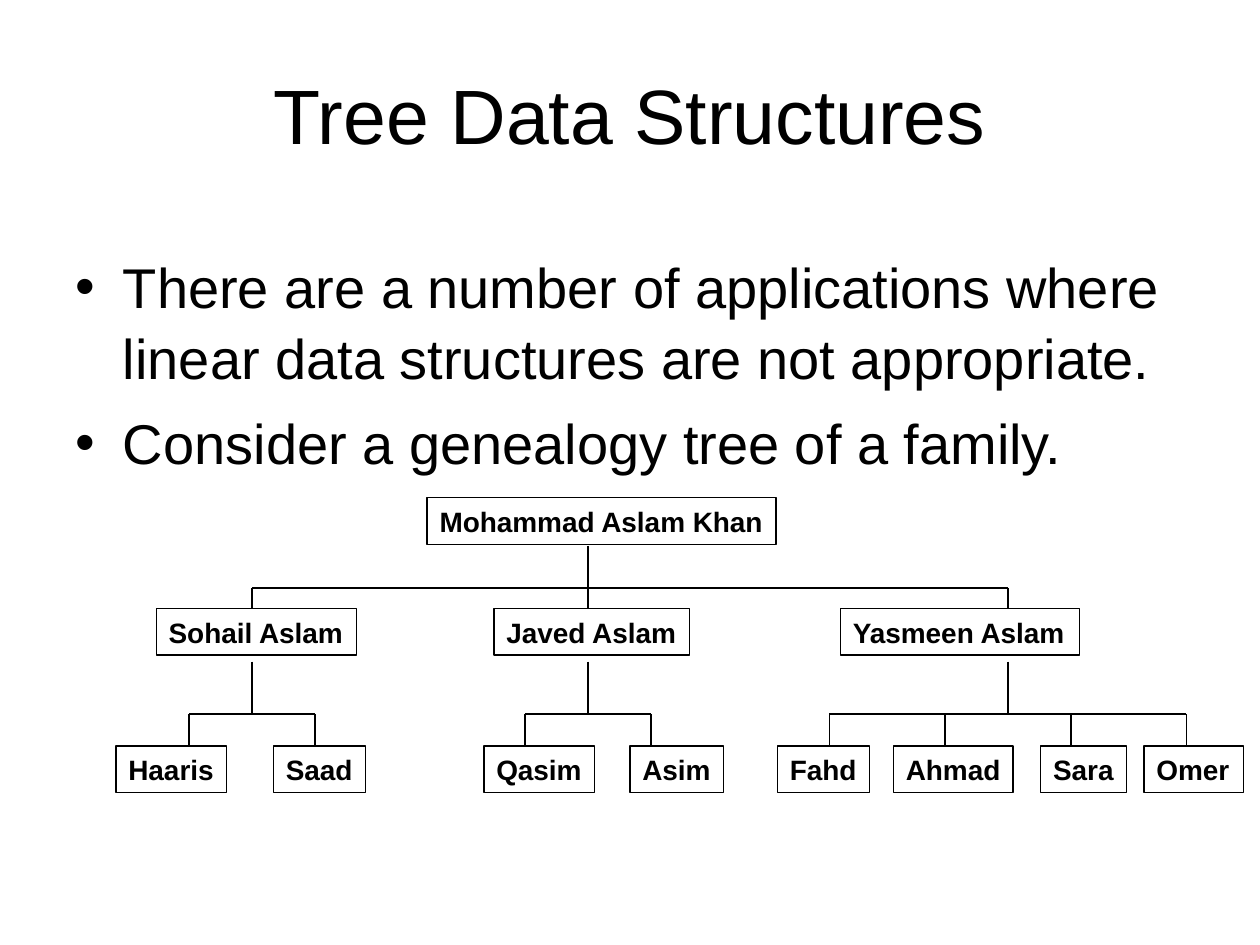
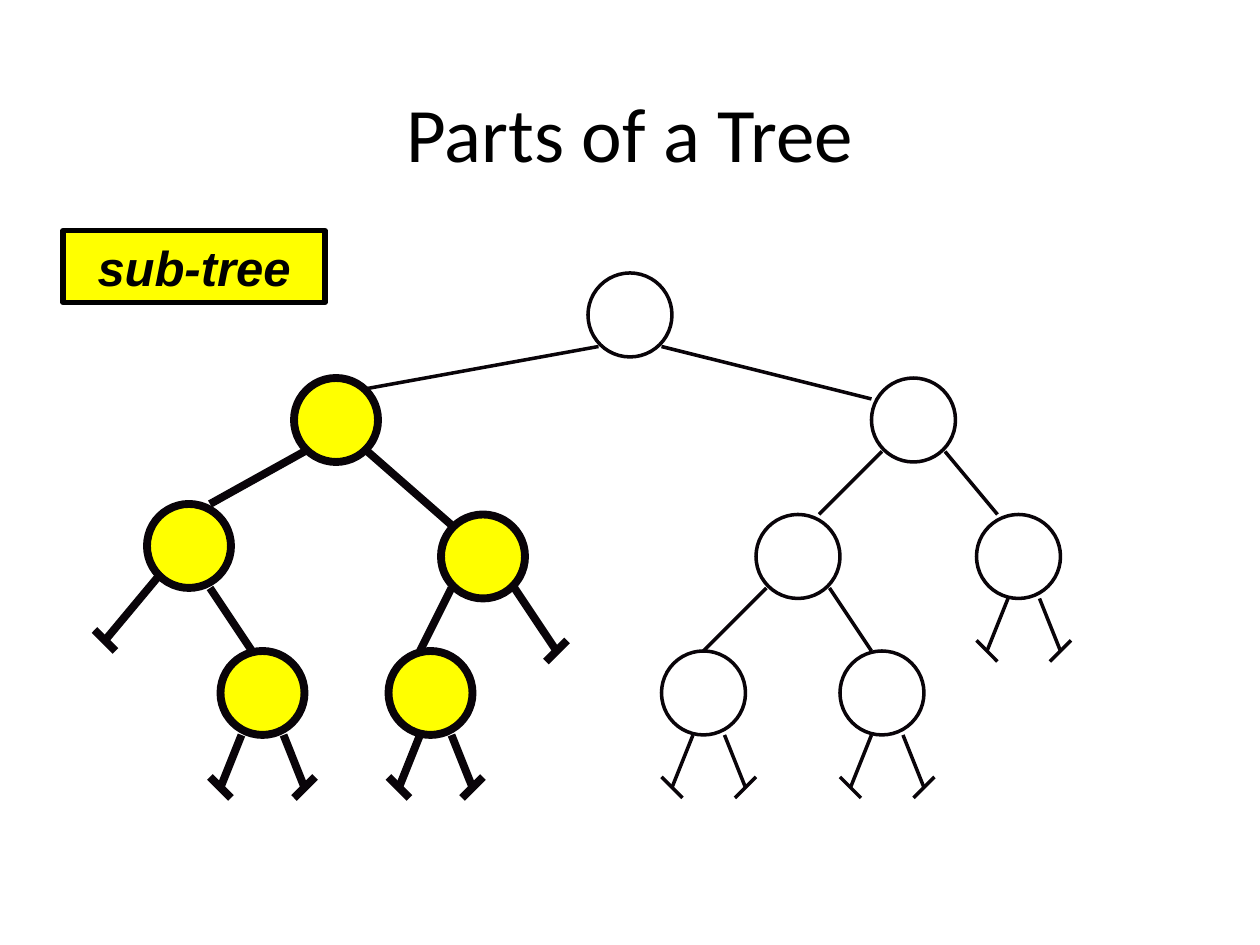
from lxml.etree import SubElement
from pptx import Presentation
from pptx.dml.color import RGBColor
from pptx.enum.shapes import MSO_CONNECTOR, MSO_SHAPE
from pptx.enum.text import MSO_ANCHOR, MSO_AUTO_SIZE, PP_ALIGN
from pptx.oxml.ns import qn
from pptx.util import Inches, Pt

COLORS = {"text": "000000", "branch": "090409", "highlight": "FFFF00"}
UNIT = 1 / 12  # grid step in inches

# Genealogy slide
BULLETS = [
    "There are a number of applications where linear data structures are not appropriate.",
    "Consider a genealogy tree of a family.",
]
BOX_HEIGHT = 0.37
# Each row of people: top, then (name, left, width), in inches
GENERATIONS = [
    (3.95, [("Mohammad Aslam Khan", 3.39, 2.77)]),
    (4.83, [("Sohail Aslam", 1.24, 1.59), ("Javed Aslam", 3.92, 1.55),
            ("Yasmeen Aslam", 6.67, 1.9)]),
    (5.92, [("Haaris", 0.92, 0.88), ("Saad", 2.17, 0.73), ("Qasim", 3.84, 0.88),
            ("Asim", 5, 0.74), ("Fahd", 6.17, 0.73), ("Ahmad", 7.09, 0.95),
            ("Sara", 8.26, 0.68), ("Omer", 9.08, 0.79)]),
]
# Each family: parent column, child columns, (stem, rail, foot) rows of the grid
PARENT_ROWS, CHILD_ROWS = (52, 56, 58), (63, 68, 71)
FAMILIES = [
    (56, (24, 56, 96), PARENT_ROWS),
    (24, (18, 30), CHILD_ROWS),
    (56, (50, 62), CHILD_ROWS),
    (96, (79, 90, 102, 113), CHILD_ROWS),
]

# Binary tree slide, in grid steps
NODE_SIZE = 8
# Each node: corner, in sub-tree, left branch, right branch, sides that end in a bar
NODES = [
    ((56, 26), False, (57, 33, 35, 37), (63, 33, 83, 38), ""),
    ((28, 36), True, (29, 43, 20, 48), (35, 43, 43, 50), ""),
    ((83, 36), False, (84, 43, 78, 49), (90, 43, 95, 49), ""),
    ((14, 48), True, (15, 55, 10, 61), (20, 56, 24, 62), "L"),
    ((42, 49), True, (43, 56, 40, 62), (49, 56, 53, 62), "R"),
    ((72, 49), False, (73, 56, 67, 62), (79, 56, 83, 62), ""),
    ((21, 62), True, (23, 70, 21, 75), (27, 70, 29, 75), "LR"),
    ((37, 62), True, (40, 70, 38, 75), (43, 70, 45, 75), "LR"),
    ((63, 62), False, (66, 70, 64, 75), (69, 70, 71, 75), "LR"),
    ((80, 62), False, (83, 70, 81, 75), (86, 70, 88, 75), "LR"),
    ((93, 49), False, (96, 57, 94, 62), (99, 57, 101, 62), "LR"),
]


def color(name):
    return RGBColor.from_string(COLORS[name])


def place(shape, left, top, width, height):
    shape.left, shape.top = Inches(left), Inches(top)
    shape.width, shape.height = Inches(width), Inches(height)


def add_run(paragraph, text, size, font_name="Arial", bold=None, italic=None):
    run = paragraph.add_run()
    run.text = text
    font = run.font
    font.size, font.name, font.bold, font.italic = Pt(size), font_name, bold, italic
    font.color.rgb = color("text")


def add_titled_slide(presentation, layout, title, bounds, font_name):
    slide = presentation.slides.add_slide(presentation.slide_layouts[layout])
    place(slide.shapes.title, *bounds)
    frame = slide.shapes.title.text_frame
    frame.vertical_anchor = MSO_ANCHOR.MIDDLE
    frame.paragraphs[0].alignment = PP_ALIGN.CENTER
    add_run(frame.paragraphs[0], title, 44, font_name)
    return slide


def add_line(slide, start_column, start_row, end_column, end_row, weight, line_color):
    ends = [Inches(step * UNIT) for step in (start_column, start_row, end_column, end_row)]
    line = slide.shapes.add_connector(MSO_CONNECTOR.STRAIGHT, *ends)
    line.line.width = Pt(weight)
    line.line.color.rgb = color(line_color)
    SubElement(line._element.spPr, qn("a:effectLst"))


def add_outlined(slide, kind, bounds, weight, line_color, fill=None):
    shape = slide.shapes.add_shape(kind, *[Inches(length) for length in bounds])
    shape.shadow.inherit = False
    shape.line.width = Pt(weight)
    shape.line.color.rgb = color(line_color)
    if fill:
        shape.fill.solid()
        shape.fill.fore_color.rgb = color(fill)
    else:
        shape.fill.background()
    return shape


def add_label(slide, text, bounds, size, alignment, weight, fill=None, italic=None):
    box = add_outlined(slide, MSO_SHAPE.RECTANGLE, bounds, weight, "text", fill)
    frame = box.text_frame
    frame.word_wrap = False
    frame.auto_size = MSO_AUTO_SIZE.NONE
    frame.paragraphs[0].alignment = alignment
    add_run(frame.paragraphs[0], text, size, bold=True, italic=italic)


def build_genealogy(presentation):
    slide = add_titled_slide(presentation, 1, "Tree Data Structures", (0.5, 0.4, 9, 1), "Arial")

    # Bullets
    body = slide.placeholders[1]
    place(body, 0.5, 1.92, 9, 1.92)
    frame = body.text_frame
    frame.auto_size = MSO_AUTO_SIZE.NONE
    for index, text in enumerate(BULLETS):
        paragraph = frame.add_paragraph() if index else frame.paragraphs[0]
        paragraph.space_before = Pt(8 if index else 0)
        paragraph.line_spacing = 1.06
        add_run(paragraph, text, 32)

    # People
    for top, people in GENERATIONS:
        for name, left, width in people:
            add_label(slide, name, (left, top, width, BOX_HEIGHT), 16, PP_ALIGN.LEFT, 0.75)

    # Stem, rail and drops of each family
    for parent, children, (stem, rail, foot) in FAMILIES:
        lines = [(parent, stem, parent, rail), (children[0], rail, children[-1], rail)]
        lines += [(child, rail, child, foot) for child in children]
        for line in lines:
            add_line(slide, *line, 0.75, "text")


def build_binary_tree(presentation):
    slide = add_titled_slide(presentation, 5, "Parts of a Tree", (0.75, 0.42, 8.5, 1.25), "Calibri")

    # Nodes with their branches
    for (column, row), in_subtree, left_branch, right_branch, barred in NODES:
        weight = 4.5 if in_subtree else 2
        bounds = [step * UNIT for step in (column, row, NODE_SIZE, NODE_SIZE)]
        add_outlined(slide, MSO_SHAPE.OVAL, bounds, weight, "branch",
                     "highlight" if in_subtree else None)
        for side, branch, slant in (("L", left_branch, 1), ("R", right_branch, -1)):
            add_line(slide, *branch, weight, "branch")
            if side in barred:
                x, y = branch[2:]
                add_line(slide, x - 1, y - slant, x + 1, y + slant, weight, "branch")

    # Legend
    add_label(slide, "sub-tree", (0.5, 1.83, 2.08, 0.57), 28, PP_ALIGN.CENTER, 3,
              "highlight", italic=True)


def main():
    presentation = Presentation()
    presentation.slide_width, presentation.slide_height = Inches(10), Inches(7.5)
    build_genealogy(presentation)
    build_binary_tree(presentation)
    presentation.save("out.pptx")


if __name__ == "__main__":
    main()
